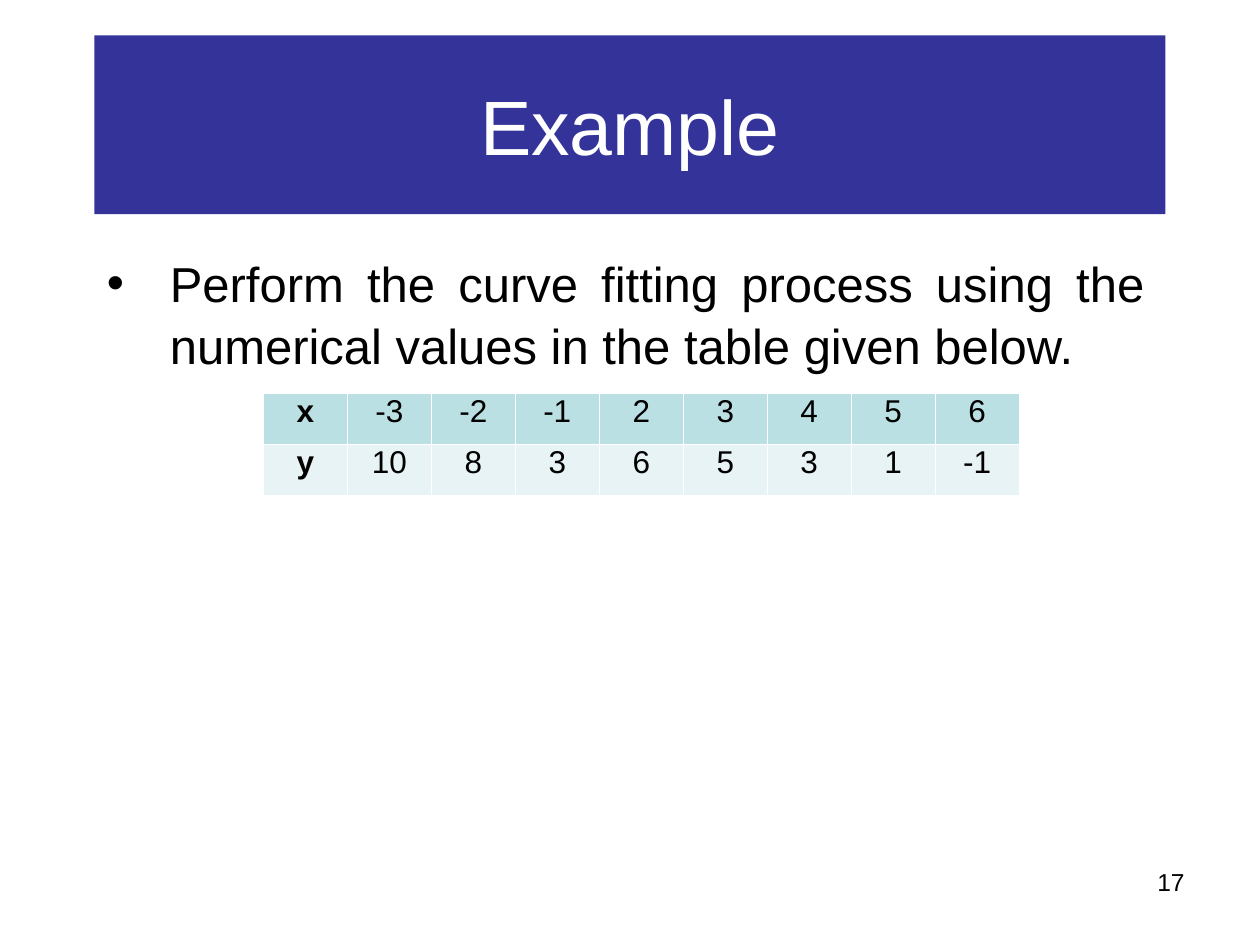
import pptx
import pptx.util
import pptx.dml.color
import pptx.enum.shapes
import pptx.enum.text
import pptx.oxml.ns
from lxml import etree

Inches = pptx.util.Inches
Pt = pptx.util.Pt
ALIGN = pptx.enum.text.PP_ALIGN
ANCHOR = pptx.enum.text.MSO_ANCHOR
qn = pptx.oxml.ns.qn

ROWS = [
    ["x", "-3", "-2", "-1", "2", "3", "4", "5", "6"],
    ["y", "10", "8", "3", "6", "5", "3", "1", "-1"],
]
FILLS = ["BBE0E3", "E7F3F4"]
THIN, THICK = 0.06, 0.17


def color(code):
    return pptx.dml.color.RGBColor.from_string(code)


def paint(fill, code):
    fill.solid()
    fill.fore_color.rgb = color(code)


def write(frame, text, size=18, code="000000", bold=False,
          align=ALIGN.CENTER, anchor=ANCHOR.TOP, space=1.0):
    frame.word_wrap = True
    frame.vertical_anchor = anchor
    para = frame.paragraphs[0]
    para.alignment = align
    para.line_spacing = space
    run = para.add_run()
    run.text = text
    font = run.font
    font.name, font.size, font.bold = "Arial", Pt(size), bold
    font.color.rgb = color(code)
    return para


def add_bullet(para, indent):
    props = para._p.get_or_add_pPr()
    props.set("marL", str(Inches(indent)))
    props.set("indent", str(-Inches(indent)))
    etree.SubElement(props, qn("a:buFont"), typeface="Arial")
    etree.SubElement(props, qn("a:buChar"), char="•")


def add_title(slide, text):
    bar = slide.shapes.add_shape(
        pptx.enum.shapes.MSO_SHAPE.RECTANGLE,
        Inches(0.75), Inches(0.28), Inches(8.5), Inches(1.42))
    bar.shadow.inherit = False
    paint(bar.fill, "333399")
    bar.line.fill.background()
    write(bar.text_frame, text, size=44, code="FFFFFF", anchor=ANCHOR.MIDDLE)


def add_text(slide, left, top, width, height, text, **style):
    box = slide.shapes.add_textbox(
        Inches(left), Inches(top), Inches(width), Inches(height))
    return write(box.text_frame, text, **style)


def add_edges(cell, widths):
    # Borders come before the fill in the cell properties
    props = cell._tc.get_or_add_tcPr()
    for place, (side, width) in enumerate(widths.items()):
        line = etree.Element(qn("a:ln" + side), w=str(Pt(width)))
        solid = etree.SubElement(line, qn("a:solidFill"))
        etree.SubElement(solid, qn("a:srgbClr"), val="FFFFFF")
        props.insert(place, line)


def add_grid(slide):
    count = len(ROWS[0])
    table = slide.shapes.add_table(
        len(ROWS), count,
        Inches(2.09), Inches(3.12), Inches(6), Inches(0.81)).table
    for col in table.columns:
        col.width = Inches(6 / count)
    for r, row in enumerate(ROWS):
        # The line between the two rows is thicker
        edges = {"L": THIN, "R": THIN,
                 "T": THICK if r else THIN, "B": THIN if r else THICK}
        for c, value in enumerate(row):
            cell = table.cell(r, c)
            paint(cell.fill, FILLS[r])
            add_edges(cell, edges)
            write(cell.text_frame, value, bold=c == 0, space=0.81)


def main():
    deck = pptx.Presentation()
    deck.slide_width, deck.slide_height = Inches(10), Inches(7.5)
    slide = deck.slides.add_slide(deck.slide_layouts[6])

    # Title and page number
    add_title(slide, "Example")
    add_text(slide, 7.17, 6.83, 2.33, 0.52, "17", size=14, align=ALIGN.RIGHT)

    # Data table
    add_grid(slide)

    # Task
    task = add_text(
        slide, 0.75, 1.94, 8.43, 1.04,
        "Perform the curve fitting process using the numerical values "
        "in the table given below.",
        size=28, align=ALIGN.JUSTIFY, space=1.05)
    add_bullet(task, 0.5)

    deck.save("out.pptx")


if __name__ == "__main__":
    main()
